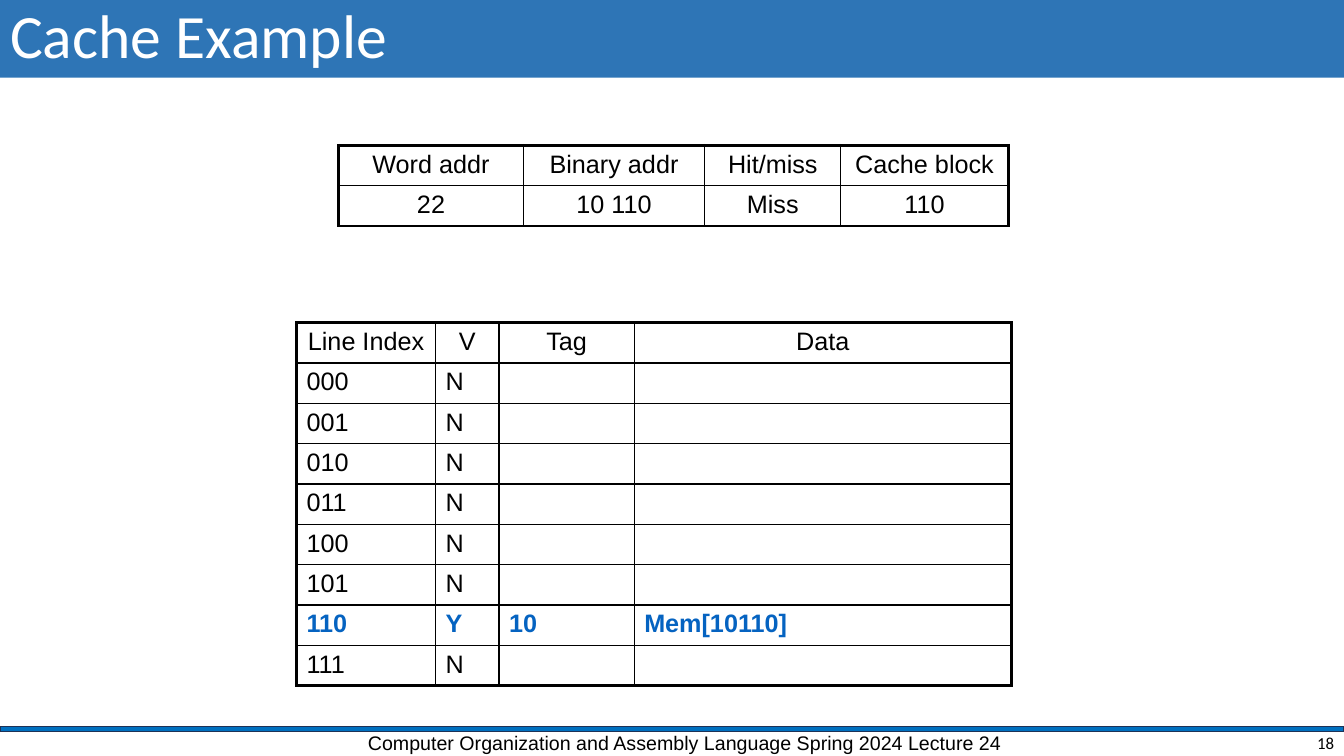
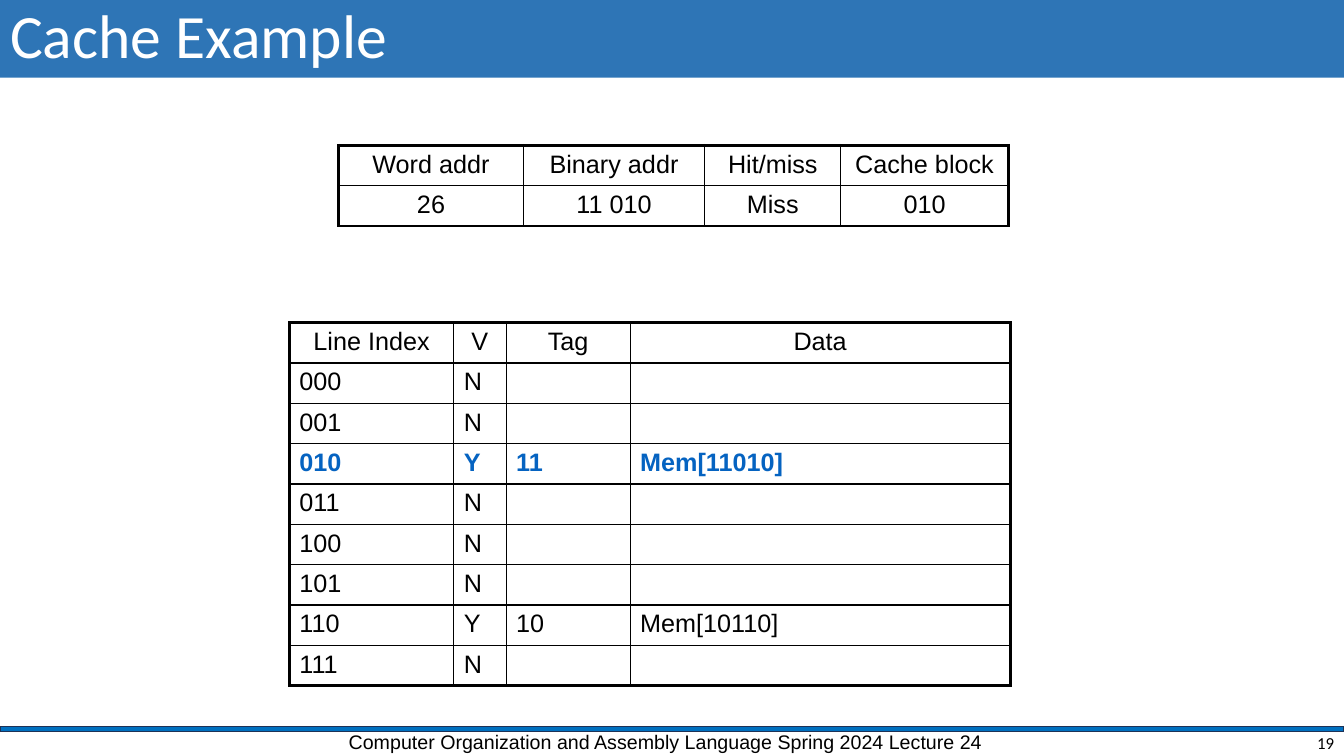
from lxml.etree import SubElement
from pptx import Presentation
from pptx.dml.color import RGBColor
from pptx.enum.shapes import MSO_SHAPE as Shape
from pptx.enum.text import MSO_ANCHOR as Anchor, PP_ALIGN as Align
from pptx.oxml.ns import qn
from pptx.util import Inches, Pt

BLACK = RGBColor(0x00, 0x00, 0x00)
WHITE = RGBColor(0xFF, 0xFF, 0xFF)
TITLE_BLUE = RGBColor(0x2E, 0x75, 0xB6)
RULE_BLUE = RGBColor(0x00, 0x70, 0xC0)
RULE_EDGE = RGBColor(0x1E, 0x32, 0x56)
NEW_ENTRY = RGBColor(0x05, 0x63, 0xC1)

SLIDE_WIDTH, SLIDE_HEIGHT = 13.33, 7.5
ROW_HEIGHT = 0.4
THIN, HEADER, OUTER = 1, 1.5, 2.25
FOOTER = "Computer Organization and Assembly Language Spring 2024 Lecture 24"
ACCESS_HEADER = ["Word addr", "Binary addr", "Hit/miss", "Cache block"]
ACCESS_COLUMNS = [1.83, 1.8, 1.35, 1.66]
CACHE_HEADER = ["Line Index", "V", "Tag", "Data"]

# Each cache maps a line index to the tag stored there.
STEPS = [
    {"number": 18, "word": 22, "tag": "10", "block": "110",
     "cache": {"110": "10"}, "cache_left": 2.94,
     "cache_columns": [1.38, 0.63, 1.34, 3.74], "footer": (3.55, 7.2, 6.68, 0.31)},
    {"number": 19, "word": 26, "tag": "11", "block": "010",
     "cache": {"110": "10", "010": "11"}, "cache_left": 2.87,
     "cache_columns": [1.63, 0.52, 1.23, 3.77], "footer": (3.36, 7.19, 6.97, 0.31)},
]


def inches(*lengths):
    return [Inches(length) for length in lengths]


def style_font(font, name, size, color, bold=False):
    font.name, font.size, font.bold = name, Pt(size), bold
    font.color.rgb = color


def add_rule_to_layout(layout, page):
    """Draw the footer rule and move it to the layout, so every slide shows it."""
    rule = page.shapes.add_shape(Shape.RECTANGLE, *inches(0, 7.21, SLIDE_WIDTH, 0.05))
    rule.shadow.inherit = False
    rule.fill.solid()
    rule.fill.fore_color.rgb = RULE_BLUE
    rule.line.color.rgb = RULE_EDGE
    rule.line.width = Pt(1)
    layout.shapes.element.append(rule.element)


def set_title(page, text):
    title = page.shapes.title
    title.left, title.top, title.width, title.height = inches(0, 0, SLIDE_WIDTH, 0.77)
    title.fill.solid()
    title.fill.fore_color.rgb = TITLE_BLUE
    title.text_frame.text = text
    title.text_frame.vertical_anchor = Anchor.MIDDLE
    paragraph = title.text_frame.paragraphs[0]
    paragraph.alignment = Align.LEFT
    paragraph.line_spacing = 0.9
    style_font(paragraph.runs[0].font, "Calibri", 44, WHITE)


def add_label(page, place, text, font_name, size, align=Align.LEFT, anchor=Anchor.TOP):
    frame = page.shapes.add_textbox(*inches(*place)).text_frame
    frame.word_wrap = True
    frame.vertical_anchor = anchor
    frame.text = text
    paragraph = frame.paragraphs[0]
    paragraph.alignment = align
    style_font(paragraph.runs[0].font, font_name, size, BLACK)


def set_borders(cell, **widths):
    properties = cell._tc.get_or_add_tcPr()
    for side, width in widths.items():
        line = SubElement(properties, qn(f"a:ln{side}"), w=str(Pt(width)))
        fill = SubElement(line, qn("a:solidFill"))
        SubElement(fill, qn("a:srgbClr"), val=str(BLACK))


def add_grid(page, left, top, columns, rows, body_align=Align.LEFT, marked=None):
    """Add a table with a thick frame; the row starting with marked is highlighted."""
    last_row, last_column = len(rows) - 1, len(columns) - 1
    place = inches(left, top, sum(columns), ROW_HEIGHT * len(rows))
    table = page.shapes.add_table(len(rows), len(columns), *place).table
    table.first_row = table.horz_banding = False
    for column, width in zip(table.columns, columns):
        column.width = Inches(width)
    for r, texts in enumerate(rows):
        table.rows[r].height = Inches(ROW_HEIGHT)
        is_marked = texts[0] == marked
        for c, text in enumerate(texts):
            cell = table.cell(r, c)
            set_borders(cell,
                        L=THIN if c else OUTER,
                        R=OUTER if c == last_column else THIN,
                        T={0: OUTER, 1: HEADER}.get(r, THIN),
                        B=OUTER if r == last_row else THIN if r else HEADER)
            cell.fill.background()
            cell.text = text
            paragraph = cell.text_frame.paragraphs[0]
            paragraph.alignment = body_align if r else Align.CENTER
            style_font(paragraph.font, "Arial", 18,
                       NEW_ENTRY if is_marked else BLACK, is_marked)


def cache_rows(cache):
    rows = [CACHE_HEADER]
    for line in range(8):
        index = f"{line:03b}"
        tag = cache.get(index)
        rows.append([index, "Y", tag, f"Mem[{tag}{index}]"] if tag
                    else [index, "N", "", ""])
    return rows


def add_step(page, step):
    set_title(page, "Cache Example")
    add_label(page, step["footer"], FOOTER, "Arial", 14)
    add_grid(page, step["cache_left"], 3.2, step["cache_columns"],
             cache_rows(step["cache"]), marked=step["block"])
    access = [str(step["word"]), f"{step['tag']} {step['block']}", "Miss", step["block"]]
    add_grid(page, 3.36, 1.44, ACCESS_COLUMNS, [ACCESS_HEADER, access], Align.CENTER)
    add_label(page, (10.33, 7.24, 3, 0.25), str(step["number"]), "Calibri", 12,
              Align.RIGHT, Anchor.MIDDLE)


def main():
    deck = Presentation()
    deck.slide_width, deck.slide_height = inches(SLIDE_WIDTH, SLIDE_HEIGHT)
    layout = deck.slide_layouts.get_by_name("Title Only")
    pages = [deck.slides.add_slide(layout) for _ in STEPS]
    add_rule_to_layout(layout, pages[0])
    for page, step in zip(pages, STEPS):
        add_step(page, step)
    deck.save("out.pptx")


if __name__ == "__main__":
    main()
